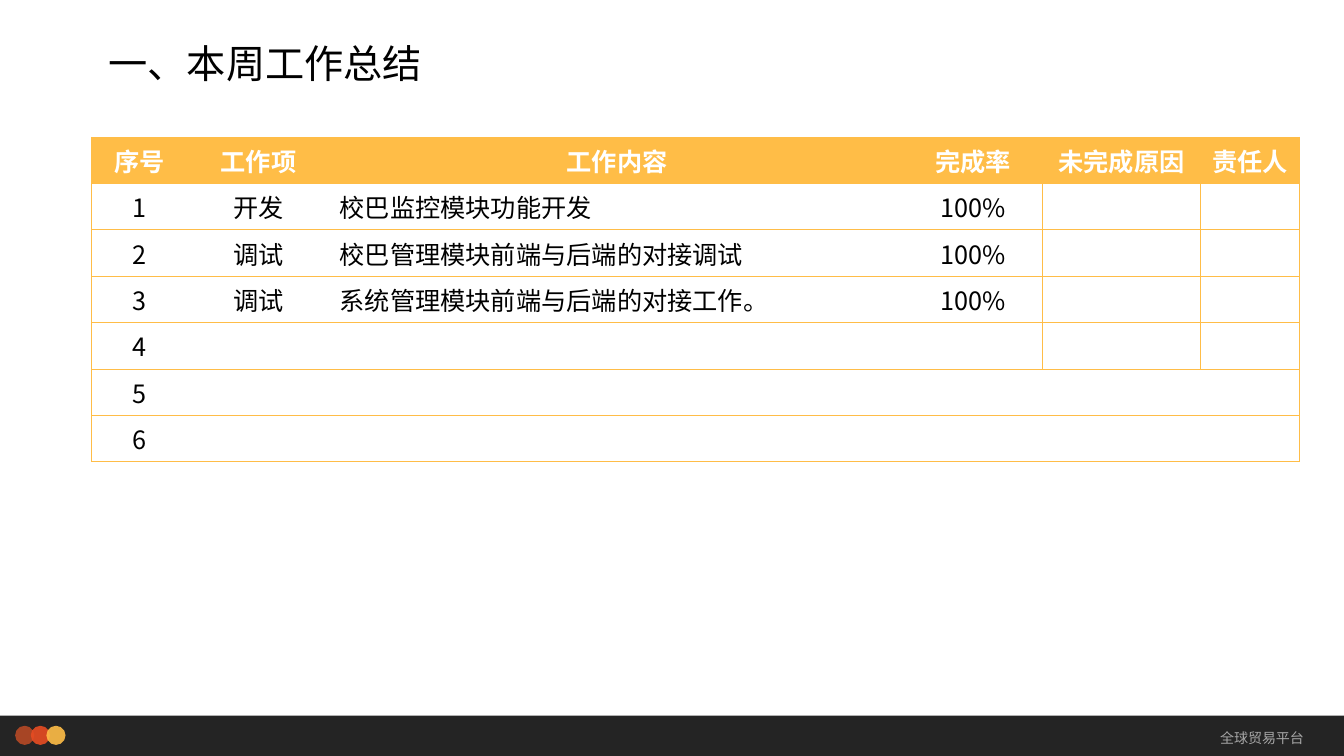
import pptx
import pptx.util
import pptx.dml.color
import pptx.enum.shapes
import pptx.enum.text
import pptx.oxml.ns
import lxml.etree

Inches, Pt = pptx.util.Inches, pptx.util.Pt
ALIGN, ANCHOR = pptx.enum.text.PP_ALIGN, pptx.enum.text.MSO_ANCHOR
SHAPE = pptx.enum.shapes.MSO_SHAPE
qn = pptx.oxml.ns.qn
FONT, AMBER = "Noto Sans CJK SC", "FFBD47"


def paint(fill, color, alpha=None):
    fill.solid()
    fill.fore_color.rgb = pptx.dml.color.RGBColor.from_string(color)
    if alpha:
        tint = fill._xPr.find(qn("a:solidFill"))[0]
        lxml.etree.SubElement(tint, qn("a:alpha"), val=str(alpha * 1000))


def write(frame, text, size=18, color="000000", bold=False, align=ALIGN.LEFT, spacing=None):
    paragraph = frame.paragraphs[0]
    paragraph.alignment = align
    paragraph.line_spacing = spacing
    run = paragraph.add_run()
    run.text = text
    run.font.size, run.font.bold, run.font.name = Pt(size), bold, FONT
    paint(run.font.fill, color)
    lxml.etree.SubElement(run._r.get_or_add_rPr(), qn("a:ea"), typeface=FONT)


deck = pptx.Presentation()
deck.slide_width, deck.slide_height = Inches(13.33), Inches(7.5)
slide = deck.slides.add_slide(deck.slide_layouts[6])
shapes = slide.shapes

# Footer band with three overlapping dots
DOT, DOT_STEP = 0.19, 0.155
footer = [(SHAPE.RECTANGLE, 0, 7.1, 13.33, 0.4, "0D0D0D")]
for i, color in enumerate(["B64926", "E84C22", AMBER]):
    footer.append((SHAPE.OVAL, 0.15 + i * DOT_STEP, 7.2, DOT, DOT, color))
for kind, *box, color in footer:
    part = shapes.add_shape(kind, *map(Inches, box))
    part.shadow.inherit = False
    part.line.fill.background()
    paint(part.fill, color, alpha=90)

# Footer label and title
labels = [
    ("全球贸易平台", (10.77, 7.1, 2.26, 0.44), ANCHOR.MIDDLE,
     dict(size=10, color="A6A6A6", align=ALIGN.RIGHT)),
    ("一、本周工作总结", (0.98, 0.15, 10, 0.76), ANCHOR.BOTTOM, dict(size=28, spacing=0.9)),
]
for text, box, anchor, style in labels:
    frame = shapes.add_textbox(*map(Inches, box)).text_frame
    frame.word_wrap = True
    frame.vertical_anchor = anchor
    write(frame, text, **style)

# Weekly work table; the content column spans three grid columns
ITEM, CONTENT, RATE, REASON, OWNER = 1, 2, 5, 6, 7
COLUMN_WIDTHS = [0.95, 1.41, 2.93, 1.33, 1.44, 1.37, 1.57, 0.98]
ROW_HEIGHT = 0.46
LAST_MERGED_ROW = 4
tasks = [
    {0: "序号", ITEM: "工作项", CONTENT: "工作内容", RATE: "完成率",
     REASON: "未完成原因", OWNER: "责任人"},
    {0: "1", ITEM: "开发", CONTENT: "校巴监控模块功能开发", RATE: "100%"},
    {0: "2", ITEM: "调试", CONTENT: "校巴管理模块前端与后端的对接调试", RATE: "100%"},
    {0: "3", ITEM: "调试", CONTENT: "系统管理模块前端与后端的对接工作。", RATE: "100%"},
    {0: "4"}, {0: "5"}, {0: "6"},
]
work = shapes.add_table(
    len(tasks), len(COLUMN_WIDTHS), Inches(0.91), Inches(1.36),
    Inches(sum(COLUMN_WIDTHS)), Inches(ROW_HEIGHT * len(tasks))).table
work.first_row = work.horz_banding = False
for column, width in zip(work.columns, COLUMN_WIDTHS):
    column.width = Inches(width)

for r, task in enumerate(tasks):
    work.rows[r].height = Inches(ROW_HEIGHT)
    if r <= LAST_MERGED_ROW:
        work.cell(r, CONTENT).merge(work.cell(r, RATE - 1))
    for c in range(len(COLUMN_WIDTHS)):
        cell = work.cell(r, c)
        divided = 1 <= r <= LAST_MERGED_ROW
        ruled = {
            "L": c == 0 or divided and c in (REASON, OWNER),
            "R": c == OWNER or divided and c + 1 in (REASON, OWNER),
            "T": True,
            "B": True,
        }
        properties = cell._tc.get_or_add_tcPr()
        for side, visible in ruled.items():
            edge = lxml.etree.SubElement(properties, qn(f"a:ln{side}"), w=str(Pt(0.5)))
            if visible:
                ink = lxml.etree.SubElement(edge, qn("a:solidFill"))
                lxml.etree.SubElement(ink, qn("a:srgbClr"), val=AMBER)
            else:
                lxml.etree.SubElement(edge, qn("a:noFill"))
        header = r == 0
        if header:
            paint(cell.fill, AMBER)
        else:
            cell.fill.background()
        if c in task:
            write(cell.text_frame, task[c], bold=header,
                  color="FFFFFF" if header else "000000",
                  align=ALIGN.LEFT if c == CONTENT and not header else ALIGN.CENTER)

deck.save("out.pptx")
